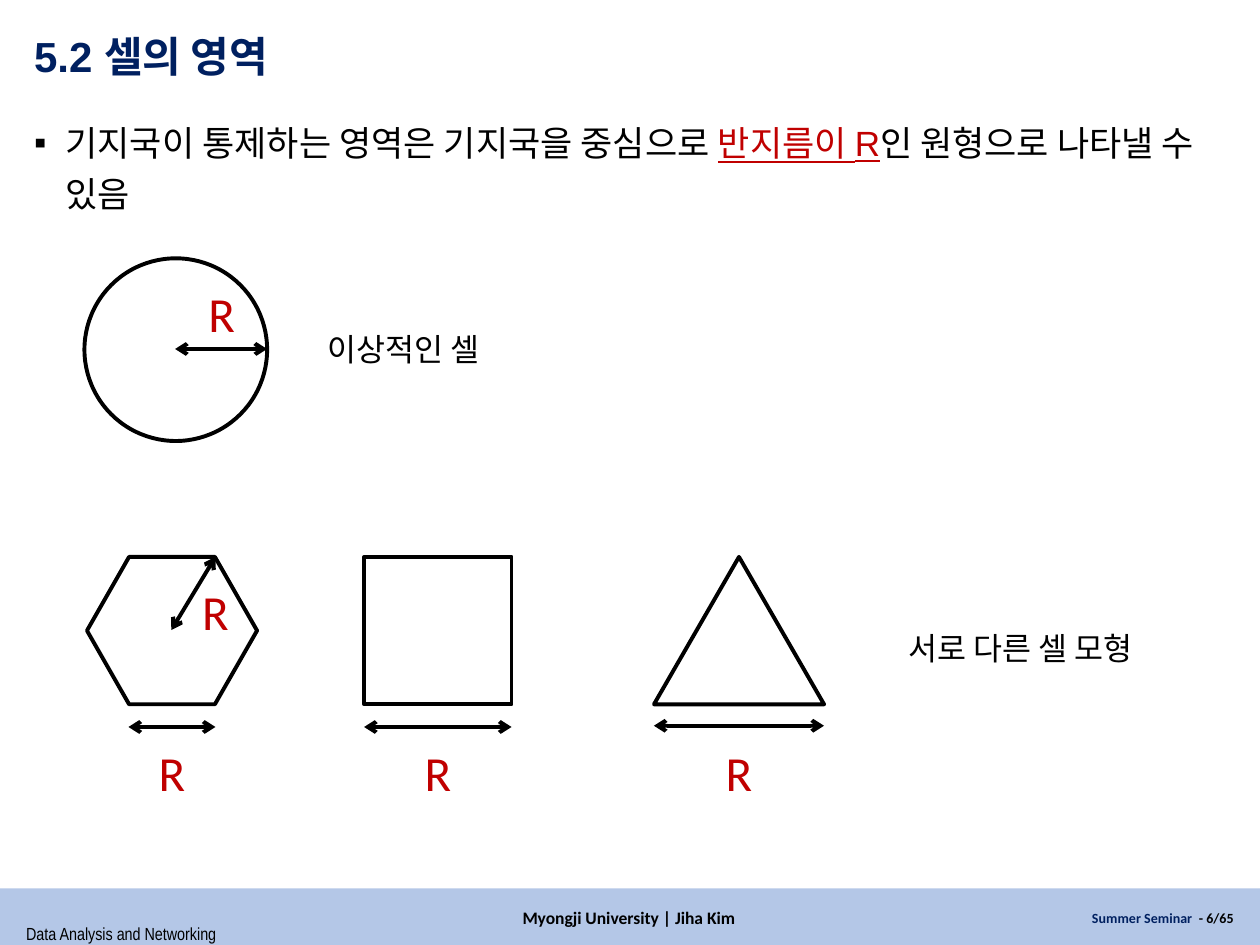
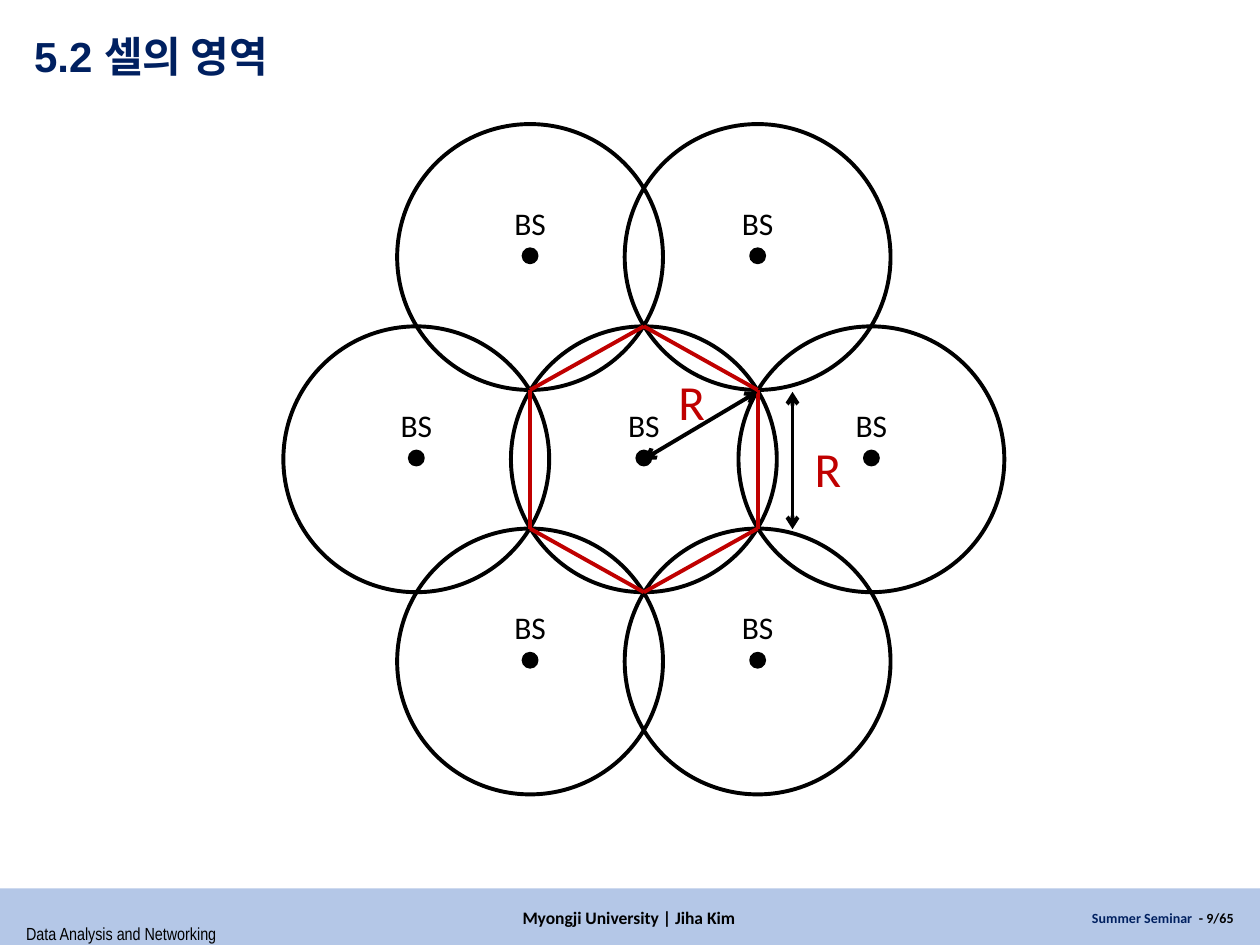
"""Builds two slides on cell areas: ideal and model cell shapes, and a hexagonal cell layout."""
import itertools

import lxml.etree
import pptx
import pptx.dml.color
import pptx.enum.shapes
import pptx.enum.text
import pptx.oxml.ns
import pptx.util

COLUMNS, ROWS = 100, 75
NAVY, RED, BLACK, WHITE, BAND = "002060", "C00000", "000000", "FFFFFF", "B4C7E7"
SHAPES = pptx.enum.shapes.MSO_SHAPE
ALIGN = pptx.enum.text.PP_ALIGN
MIDDLE = pptx.enum.text.MSO_ANCHOR.MIDDLE
TITLE = "5.2 셀의 영역"


def paint(color_format, color):
    """Set a colour from a hex string."""
    color_format.rgb = pptx.dml.color.RGBColor.from_string(color)


def add_element(parent, tag, **attributes):
    """Append a DrawingML element to a parent."""
    return lxml.etree.SubElement(parent, pptx.oxml.ns.qn(tag), **attributes)


class Deck:
    """Hold the shared style and the slide being built."""

    def __init__(self):
        """Start an empty presentation with a grid of columns and rows."""
        self.presentation = pptx.Presentation()
        self.presentation.slide_width = pptx.util.Inches(10)
        self.presentation.slide_height = pptx.util.Inches(7.5)
        self.column = self.presentation.slide_width / COLUMNS
        self.row = self.presentation.slide_height / ROWS
        self.slide = None

    def place(self, left, top, width, height):
        """Turn grid units into slide lengths."""
        return (round(left * self.column), round(top * self.row),
                round(width * self.column), round(height * self.row))

    def start_slide(self, layout, number):
        """Add a slide with its title, band and footers."""
        self.slide = self.presentation.slides.add_slide(
            self.presentation.slide_layouts.get_by_name(layout))
        self.shape(SHAPES.RECTANGLE, 0, 70.5, 100, 4.5, fill=BAND, line=None)
        self.text([("Data Analysis and Networking", BLACK)], 1.1, 72.8, 17.3, 2.7,
                  size=10, font="Arial Narrow", align=ALIGN.LEFT)
        self.text([("Myongji University | Jiha Kim", BLACK)], 33, 71.6, 33.8, 2.5,
                  size=10, bold=True, wrap=True)
        self.text([("Summer Seminar  ", NAVY), (f"- {number}/65", BLACK)],
                  70.8, 71.6, 28.1, 2.5, size=8, bold=True, align=ALIGN.RIGHT, wrap=True)
        title = self.slide.shapes.title
        self.move(title, 1.7, 1.9, 97.1, 5.6)
        title.text_frame.vertical_anchor = MIDDLE
        paragraph = self.set_text(title, [(TITLE, NAVY)], 24, "Arial", True, ALIGN.LEFT)
        paragraph.line_spacing = 0.9

    def move(self, shape, *box):
        """Put a placeholder on the grid."""
        shape.left, shape.top, shape.width, shape.height = self.place(*box)
        shape.text_frame.auto_size = pptx.enum.text.MSO_AUTO_SIZE.NONE

    def set_text(self, shape, parts, size, font, bold, align):
        """Put coloured parts into the first paragraph of a shape."""
        paragraph = shape.text_frame.paragraphs[0]
        paragraph.alignment = align
        paragraph.font.size = pptx.util.Pt(size)
        paragraph.font.name = font
        paragraph.font.bold = bold
        if len(parts) == 1:
            paint(paragraph.font.color, parts[0][1])
        for text, color in parts:
            run = paragraph.add_run()
            run.text = text
            if len(parts) > 1:
                paint(run.font.color, color)
        return paragraph

    def bullet(self, parts):
        """Fill the body placeholder with one bulleted paragraph, red parts underlined."""
        body = self.slide.placeholders[1]
        self.move(body, 1.7, 8.5, 96.5, 61.3)
        paragraph = self.set_text(body, parts, 20, "Arial", False, ALIGN.LEFT)
        paragraph.line_spacing = 1.2
        paragraph.space_before = pptx.util.Pt(10)
        for run, (_, color) in zip(paragraph.runs, parts):
            run.font.underline = color == RED
        properties = paragraph._p.get_or_add_pPr()
        indent = pptx.util.Inches(0.25)
        properties.set("marL", str(int(indent)))
        properties.set("indent", str(-int(indent)))
        mark = add_element(properties, "a:buChar", char="▪")
        properties.find(pptx.oxml.ns.qn("a:defRPr")).addprevious(mark)

    def text(self, parts, left, top, width, height, size=18, font="Calibri",
             bold=False, align=ALIGN.CENTER, wrap=False):
        """Add a text box; wrapped ones are centred vertically."""
        box = self.slide.shapes.add_textbox(*self.place(left, top, width, height))
        box.text_frame.word_wrap = wrap
        if wrap:
            box.text_frame.vertical_anchor = MIDDLE
        self.set_text(box, parts, size, font, bold, align)

    def radius_label(self, center, top):
        """Add a red R centred on a column."""
        self.text([("R", RED)], center - 2.1, top, 4.2, 5.7, size=28)

    def shape(self, kind, left, top, width, height, fill=WHITE, line=BLACK, weight=2.25):
        """Add a preset shape without shadow."""
        shape = self.slide.shapes.add_shape(kind, *self.place(left, top, width, height))
        shape.shadow.inherit = False
        if fill:
            shape.fill.solid()
            paint(shape.fill.fore_color, fill)
        else:
            shape.fill.background()
        if line:
            paint(shape.line.color, line)
            shape.line.width = pptx.util.Pt(weight)
        else:
            shape.line.fill.background()
        return shape

    def circle(self, center, radius, **style):
        """Add a circle around a centre."""
        x, y = center
        self.shape(SHAPES.OVAL, x - radius, y - radius, 2 * radius, 2 * radius, **style)

    def line(self, start, end, color=BLACK, arrows=True):
        """Add a straight line, with open arrowheads at both ends if wanted."""
        connector = self.slide.shapes.add_connector(
            pptx.enum.shapes.MSO_CONNECTOR.STRAIGHT, *self.place(*start, *end))
        paint(connector.line.color, color)
        connector.line.width = pptx.util.Pt(2.25)
        properties = connector._element.spPr
        if arrows:
            for tag in ("a:headEnd", "a:tailEnd"):
                add_element(properties.get_or_add_ln(), tag, type="arrow")
        add_element(properties, "a:effectLst")


def build_cell_shapes(deck):
    """Show the ideal round cell and three model cells."""
    deck.start_slide("Title and Content", 6)
    deck.bullet([("기지국이 통제하는 영역은 기지국을 중심으로 ", BLACK),
                 ("반지름이 R", RED), ("인 원형으로 나타낼 수 있음", BLACK)])
    deck.circle((13.95, 27.75), 7.25, fill=WHITE)
    deck.line((21.2, 27.7), (13.9, 27.7))
    deck.radius_label(17.6, 22)
    deck.text([("이상적인 셀", BLACK)], 25, 25.7, 15.2, 4, align=ALIGN.LEFT)

    cells = [(SHAPES.HEXAGON, 6.9, 13.5, 10.2, 17.1, 57.7),
             (SHAPES.RECTANGLE, 28.9, 11.7, 28.9, 40.6, 57.7),
             (SHAPES.ISOSCELES_TRIANGLE, 51.9, 13.5, 51.9, 65.4, 57.6)]
    for kind, left, width, side_start, side_end, side_row in cells:
        cell = deck.shape(kind, left, 44.2, width, 11.7)
        if kind == SHAPES.HEXAGON:
            cell.adjustments[0] = 0.286
        deck.line((side_start, side_row), (side_end, side_row))
        deck.radius_label((side_start + side_end) / 2, 58.4)
    deck.line((13.6, 50), (17.1, 44.2))
    deck.radius_label(17.1, 45.7)
    deck.text([("서로 다른 셀 모형", BLACK)], 71.1, 49.4, 21.4, 4, align=ALIGN.LEFT)


def build_cell_layout(deck):
    """Show seven overlapping cells and the hexagon that they form."""
    deck.start_slide("Title Only", 9)
    center_x, center_y = 51.1, 36.45
    half_step, row_step, radius, half_side = 9.03, 16.05, 10.55, 5.5
    stations = [(center_x + step * half_step, center_y + row * row_step)
                for row, steps in ((-1, (-1, 1)), (0, (-2, 0, 2)), (1, (-1, 1)))
                for step in steps]
    for station in stations:
        deck.circle(station, radius, fill=None)
    for x, y in stations:
        deck.circle((x, y - 0.1), 0.6, fill=BLACK, weight=1)
        deck.text([("BS", BLACK)], x - 2.25, y - 4.7, 4.5, 4)

    corners = [(center_x + x * half_step, center_y + y)
               for x, y in ((0, -radius), (1, -half_side), (1, half_side),
                            (0, radius), (-1, half_side), (-1, -half_side))]
    for start, end in itertools.pairwise(corners + corners[:1]):
        deck.line(start, end, RED, arrows=False)
    deck.line((center_x, center_y), (60.1, 31.1))
    deck.radius_label(54.9, 29)
    deck.line((62.9, 42), (62.9, 31.1))
    deck.radius_label(65.7, 34.3)


def main():
    """Build and save the presentation."""
    deck = Deck()
    build_cell_shapes(deck)
    build_cell_layout(deck)
    deck.presentation.save("out.pptx")


if __name__ == "__main__":
    main()
